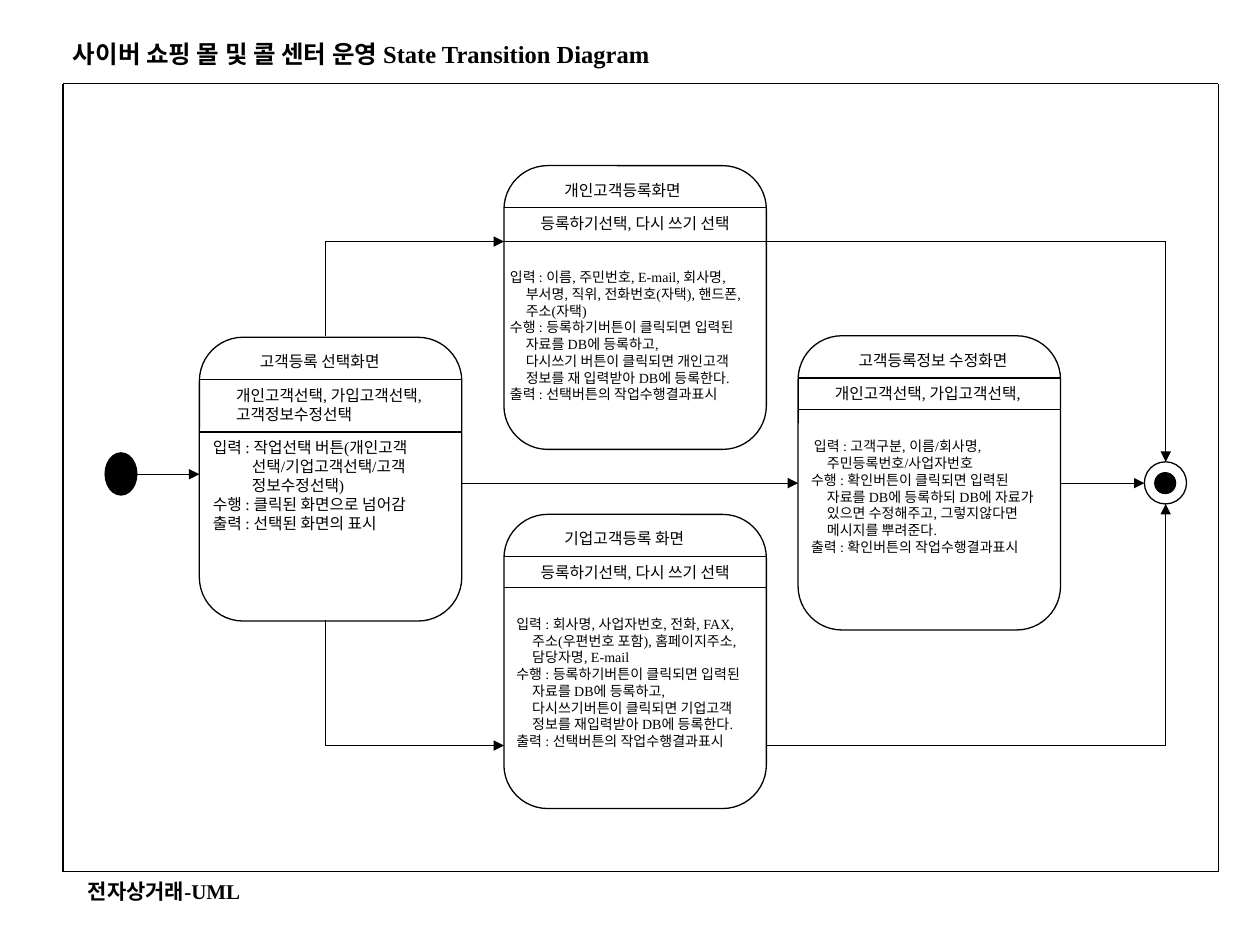
from dataclasses import dataclass

import pptx
import pptx.dml.color
import pptx.enum.shapes
import pptx.enum.text
import pptx.oxml.ns
import pptx.util
from lxml import etree

Cm = pptx.util.Cm
SHAPES = pptx.enum.shapes.MSO_SHAPE
COLORS = {"ink": "000000", "paper": "FFFFFF"}
FONT = "Times New Roman"
LINE_WIDTH = 0.75

# State box geometry in cm
STATE_WIDTH = 5.29
HEADER_HEIGHT = 0.85
TITLE_DX, TITLE_DY = 0.97, 0.17
EVENTS_DX, EVENTS_WIDTH = 0.49, 4.47


@dataclass
class Body:
    left: float
    top: float
    width: float
    lines: list[str]
    size: float = 8
    indent: float = 0.32
    first_indent: float = 0


@dataclass
class State:
    left: float
    top: float
    height: float
    title: str
    title_width: float
    events: list[str]
    events_bottom: float
    body: Body


def rgb(name: str) -> pptx.dml.color.RGBColor:
    return pptx.dml.color.RGBColor.from_string(COLORS[name])


def add_text(s, left: float, top: float, width: float, lines: list[str], size: float,
             bold: bool = False, indents: list[float] | None = None) -> None:
    height = len(lines) * size * 0.042 + 0.25
    tf = s.shapes.add_textbox(Cm(left), Cm(top), Cm(width), Cm(height)).text_frame
    tf.word_wrap = False
    tf.auto_size = pptx.enum.text.MSO_AUTO_SIZE.SHAPE_TO_FIT_TEXT
    tf.text = "\n".join(lines)
    for p, indent in zip(tf.paragraphs, indents or [0] * len(lines)):
        if indent:
            p._p.get_or_add_pPr().set("marL", str(Cm(indent)))
        for r in p.runs:
            r.font.name = FONT
            r.font.size = pptx.util.Pt(size)
            r.font.bold = bold
            r.font.color.rgb = rgb("ink")


def add_shape(s, kind, left: float, top: float, width: float, height: float, fill: str) -> None:
    sp = s.shapes.add_shape(kind, Cm(left), Cm(top), Cm(width), Cm(height))
    sp.shadow.inherit = False
    sp.fill.solid()
    sp.fill.fore_color.rgb = rgb(fill)
    sp.line.color.rgb = rgb("ink")
    sp.line.width = pptx.util.Pt(LINE_WIDTH)


def add_route(s, points: list[tuple[float, float]], arrow: bool = False) -> None:
    """Join the points with straight lines; the last one may carry an arrowhead."""
    qn = pptx.oxml.ns.qn
    for i, (start, end) in enumerate(zip(points, points[1:]), start=2):
        line = s.shapes.add_connector(pptx.enum.shapes.MSO_CONNECTOR.STRAIGHT,
                                      *map(Cm, start + end))
        line.line.color.rgb = rgb("ink")
        line.line.width = pptx.util.Pt(LINE_WIDTH)
        if arrow and i == len(points):
            etree.SubElement(line.line._get_or_add_ln(), qn("a:tailEnd"), type="triangle")
        etree.SubElement(line._element.spPr, qn("a:effectLst"))


def add_state(s, state: State) -> None:
    add_shape(s, SHAPES.FLOWCHART_ALTERNATE_PROCESS, state.left, state.top,
              STATE_WIDTH, state.height, "paper")
    add_text(s, state.left + TITLE_DX, state.top + TITLE_DY, state.title_width,
             [state.title], 9)
    header_bottom = state.top + HEADER_HEIGHT
    for y in (header_bottom, state.events_bottom):
        add_route(s, [(state.left, y), (state.left + STATE_WIDTH, y)])
    add_text(s, state.left + EVENTS_DX, header_bottom, EVENTS_WIDTH, state.events, 9)
    # Lines without a label continue the one above and are indented
    body = state.body
    indents = [0 if " : " in line else body.indent for line in body.lines]
    indents[0] = body.first_indent
    add_text(s, body.left, body.top, body.width, body.lines, body.size, indents=indents)


STATES = [
    State(4.02, 6.8, 5.72, "고객등록 선택화면", 2.92,
          ["개인고객선택, 가입고객선택,", "고객정보수정선택"], 8.71,
          Body(4.04, 8.71, 4.72, [
              "입력 : 작업선택 버튼(개인고객",
              "선택/기업고객선택/고객",
              "정보수정선택)",
              "수행 : 클릭된 화면으로 넘어감",
              "출력 : 선택된 화면의 표시",
          ], size=9, indent=0.79)),
    State(10.16, 3.34, 5.72, "개인고객등록화면", 2.84,
          ["등록하기선택, 다시 쓰기 선택"], 4.87,
          Body(10.03, 5.29, 5.77, [
              "입력 : 이름, 주민번호, E-mail, 회사명,",
              "부서명, 직위, 전화번호(자택), 핸드폰,",
              "주소(자택)",
              "수행 : 등록하기버튼이 클릭되면 입력된",
              "자료를 DB에 등록하고,",
              "다시쓰기 버튼이 클릭되면 개인고객",
              "정보를 재 입력받아 DB에 등록한다.",
              "출력 : 선택버튼의 작업수행결과표시",
          ])),
    State(16.09, 6.77, 5.93, "고객등록정보 수정화면", 3.51,
          ["개인고객선택, 가입고객선택,"], 8.26,
          Body(16.1, 8.7, 5.26, [
              "입력 : 고객구분, 이름/회사명,",
              "주민등록번호/사업자번호",
              "수행 : 확인버튼이 클릭되면 입력된",
              "자료를 DB에 등록하되 DB에 자료가",
              "있으면 수정해주고, 그렇지않다면",
              "메시지를 뿌려준다.",
              "출력 : 확인버튼의 작업수행결과표시",
          ], first_indent=0.06)),
    State(10.16, 10.37, 5.93, "기업고객등록 화면", 2.92,
          ["등록하기선택, 다시 쓰기 선택"], 11.85,
          Body(10.16, 12.28, 5.38, [
              "입력 : 회사명, 사업자번호, 전화, FAX,",
              "주소(우편번호 포함), 홈페이지주소,",
              "담당자명, E-mail",
              "수행 : 등록하기버튼이 클릭되면 입력된",
              "자료를 DB에 등록하고,",
              "다시쓰기버튼이 클릭되면 기업고객",
              "정보를 재입력받아 DB에 등록한다.",
              "출력 : 선택버튼의 작업수행결과표시",
          ])),
]

TRANSITIONS = [
    [(2.75, 9.56), (4.02, 9.56)],
    [(6.56, 6.77), (6.56, 4.87), (10.16, 4.87)],
    [(9.31, 9.74), (16.09, 9.74)],
    [(6.56, 12.49), (6.56, 15.03), (10.16, 15.03)],
    [(21.38, 9.74), (23.07, 9.74)],
    [(15.45, 4.87), (23.5, 4.87), (23.5, 9.31)],
    [(15.45, 15.03), (23.5, 15.03), (23.5, 10.16)],
]


def main() -> None:
    prs = pptx.Presentation()
    prs.slide_width, prs.slide_height = Cm(25.4), Cm(19.05)
    s = prs.slides.add_slide(prs.slide_layouts[6])

    # Heading, footer and frame
    add_text(s, 1.22, 0.66, 12.29, ["사이버 쇼핑 몰 및 콜 센터 운영 State Transition Diagram"],
             14, bold=True)
    add_text(s, 1.52, 17.58, 3.68, ["전자상거래-UML"], 12, bold=True)
    left, top, right, bottom = 1.27, 1.69, 24.56, 17.57
    add_route(s, [(left, top), (right, top), (right, bottom), (left, bottom), (left, top)])

    # States
    for state in STATES:
        add_state(s, state)

    # Start and end markers
    add_shape(s, SHAPES.OVAL, 2.12, 9.13, 0.64, 0.85, "ink")
    add_shape(s, SHAPES.OVAL, 23.07, 9.31, 0.85, 0.85, "paper")
    add_shape(s, SHAPES.OVAL, 23.28, 9.53, 0.42, 0.42, "ink")

    # Transitions
    for points in TRANSITIONS:
        add_route(s, points, arrow=True)

    prs.save("out.pptx")


if __name__ == "__main__":
    main()
